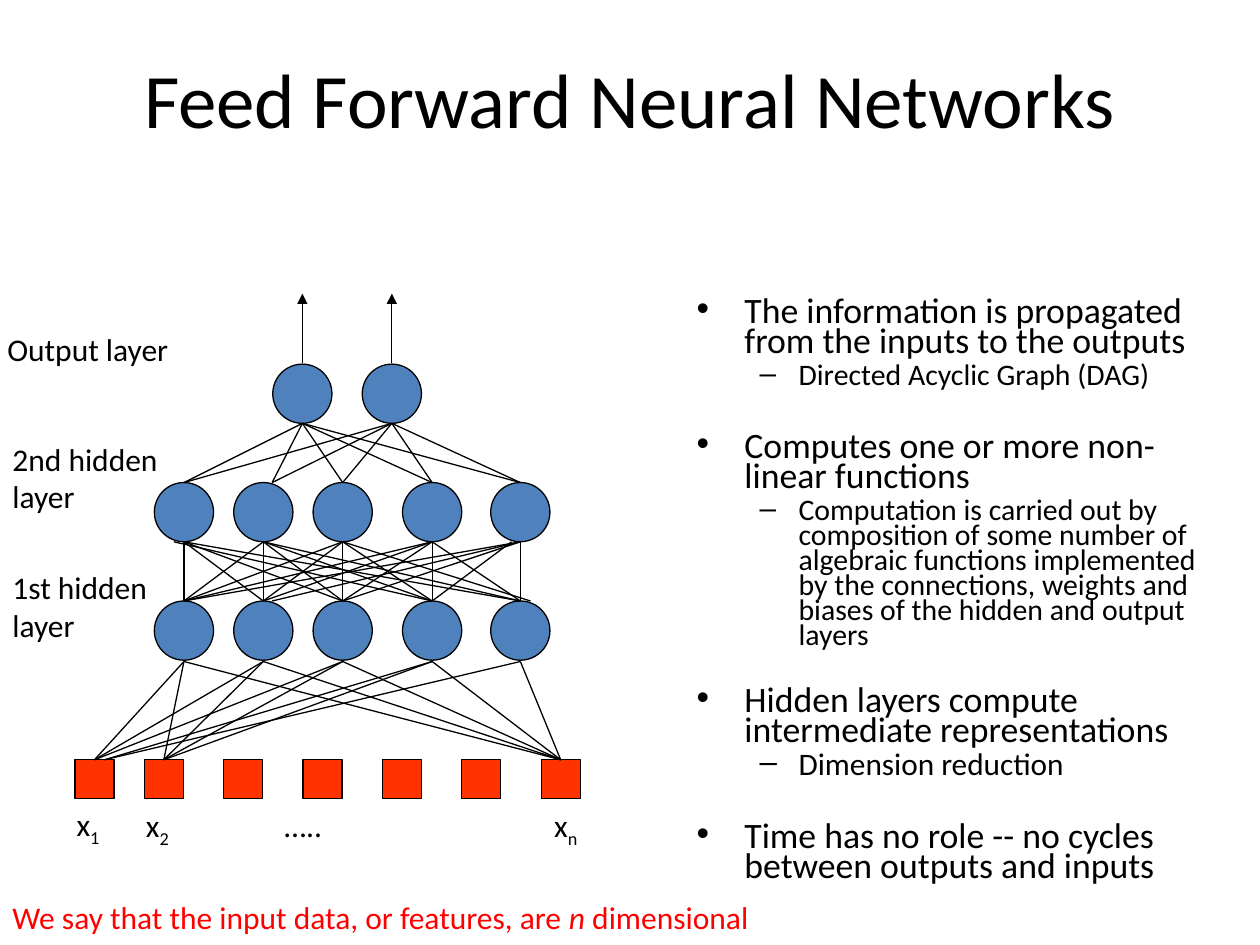
from dataclasses import dataclass, field
from itertools import product

from lxml.etree import SubElement
from pptx import Presentation
from pptx.dml.color import RGBColor
from pptx.enum.shapes import MSO_CONNECTOR, MSO_SHAPE
from pptx.enum.text import MSO_ANCHOR, MSO_AUTO_SIZE, PP_ALIGN
from pptx.oxml.ns import qn
from pptx.util import Inches, Pt

COLORS = {"ink": "000000", "neuron": "4F81BD", "input": "FF3300", "note": "FF0000"}
HIDDEN_X = [1.46, 2.09, 2.72, 3.43, 4.13]
OUTPUT_X = [2.4, 3.11]
INPUT_X = [0.75] + [1.3 + 0.63 * i for i in range(6)]
NEURON, SQUARE = 0.47, 0.31


@dataclass
class Layer:
    xs: list[float]
    top: float
    size: float
    shape: MSO_SHAPE
    color: str


@dataclass
class Links:
    pairs: list[tuple[float, float]]
    y1: float
    y2: float
    nudged: dict = field(default_factory=dict)


@dataclass
class Run:
    text: str
    fmt: dict = field(default_factory=dict)
    baseline: int = 0


@dataclass
class Label:
    box: tuple[float, float, float, float]
    lines: list[list[Run]]
    wrap: bool = True
    color: str = "ink"


@dataclass
class Bullet:
    text: str
    level: int = 0
    size: float = 20.4
    before: float = 4


LAYERS = [
    Layer(HIDDEN_X, 4.77, NEURON, MSO_SHAPE.OVAL, "neuron"),
    Layer(HIDDEN_X, 3.83, NEURON, MSO_SHAPE.OVAL, "neuron"),
    Layer(INPUT_X, 6.03, SQUARE, MSO_SHAPE.RECTANGLE, "input"),
    Layer(OUTPUT_X, 2.89, NEURON, MSO_SHAPE.OVAL, "neuron"),
]

INPUT_PAIRS = list(product([0.75, 4.45], HIDDEN_X)) + list(product([1.3], HIDDEN_X[:4]))
LINKS = [
    Links(list(product(HIDDEN_X, OUTPUT_X)), 3.83, 3.36,
          {(2.09, x): (2.16, x) for x in OUTPUT_X}),
    Links(INPUT_PAIRS, 6.03, 5.25,
          {(0.75, x): (0.83, x) for x in HIDDEN_X[3:]}),
    Links(list(product(HIDDEN_X, HIDDEN_X)), 4.77, 4.3,
          {(2.09, 4.13): (2.16, 4.13), (4.13, 2.72): (4.21, 2.72),
           (3.43, 1.46): (3.43, 1.38), (3.43, 4.13): (3.43, 4.06)}),
]

LABELS = [
    *[Label((x, y, 0.4, 0.4), [[Run("x"), Run(sub, baseline=-25000)]], False)
      for x, y, sub in [(0.51, 6.34, "1"), (1.06, 6.35, "2"), (4.3, 6.35, "n")]],
    Label((2.16, 6.35, 1.96, 0.4), [[Run("…..")]]),
    Label((0, 4.46, 1.69, 0.7), [[Run("1st hidden")], [Run("layer")]]),
    Label((0, 3.44, 1.69, 0.7), [[Run("2nd hidden")], [Run("layer")]]),
    Label((-0.04, 2.57, 1.69, 0.4), [[Run("Output layer")]]),
    Label((0, 7.08, 6.4, 0.4),
          [[Run("We say that the input data, or features, are "),
            Run("n ", {"italic": True}), Run("dimensional")]], False, "note"),
]

BULLETS = [
    Bullet("The information is propagated from the inputs to the outputs", before=0),
    Bullet("Directed Acyclic Graph (DAG)", 1, 17, 3.5),
    Bullet("Computes one or more non-linear functions", before=25),
    Bullet("Computation is carried out by composition of some number of algebraic "
           "functions implemented by the connections, weights and biases of the "
           "hidden and output layers", 1, 17, 3.5),
    Bullet("Hidden layers compute intermediate representations", before=21.5),
    Bullet("Dimension reduction", 1, 17.9, 3.5),
    Bullet("Time has no role -- no cycles between outputs and inputs", before=25),
]
BULLET_STYLES = [("•", 0.38, -0.38), ("–", 0.81, -0.31)]


def rgb(name: str) -> RGBColor:
    return RGBColor.from_string(COLORS[name])


def apply(target, values: dict) -> None:
    for name, value in values.items():
        setattr(target, name, value)


def add_run(p, run: Run, size: float, color: str = "ink") -> None:
    r = p.add_run()
    r.text = run.text
    apply(r.font, {"name": "Calibri", "size": Pt(size), **run.fmt})
    r.font.color.rgb = rgb(color)
    if run.baseline:
        r.font._element.set("baseline", str(run.baseline))


def add_box(s, box: tuple, values: dict):
    tf = s.shapes.add_textbox(*map(Inches, box)).text_frame
    apply(tf, {"word_wrap": True, **values})
    return tf


def next_paragraph(tf, index: int):
    return tf.add_paragraph() if index else tf.paragraphs[0]


def draw_layer(s, layer: Layer) -> None:
    for x in layer.xs:
        sp = s.shapes.add_shape(layer.shape, Inches(x - layer.size / 2), Inches(layer.top),
                                Inches(layer.size), Inches(layer.size))
        sp.shadow.inherit = False
        sp.fill.solid()
        sp.fill.fore_color.rgb = rgb(layer.color)
        sp.line.color.rgb = rgb("ink")
        sp.line.width = Pt(0.75)


def draw_line(s, x1: float, y1: float, x2: float, y2: float, arrow: bool = False) -> None:
    line = s.shapes.add_connector(MSO_CONNECTOR.STRAIGHT, *map(Inches, (x1, y1, x2, y2)))
    line.line.color.rgb = rgb("ink")
    line.line.width = Pt(0.75)
    if arrow:
        SubElement(line.line._get_or_add_ln(), qn("a:tailEnd"), type="triangle")
    SubElement(line._element.spPr, qn("a:effectLst"))


def draw_links(s, links: Links) -> None:
    for pair in links.pairs:
        x1, x2 = links.nudged.get(pair, pair)
        draw_line(s, x1, links.y1, x2, links.y2)


def draw_label(s, label: Label) -> None:
    tf = add_box(s, label.box, {"word_wrap": label.wrap,
                                "auto_size": MSO_AUTO_SIZE.SHAPE_TO_FIT_TEXT})
    for i, runs in enumerate(label.lines):
        p = next_paragraph(tf, i)
        for run in runs:
            add_run(p, run, 18, label.color)


def draw_title(s, text: str) -> None:
    tf = add_box(s, (0.5, 0.15, 9, 1.25), {"vertical_anchor": MSO_ANCHOR.MIDDLE})
    p = tf.paragraphs[0]
    p.alignment = PP_ALIGN.CENTER
    add_run(p, Run(text), 44)


def draw_bullets(s, bullets: list[Bullet]) -> None:
    tf = add_box(s, (5.43, 2.33, 4.42, 5.07), {})
    for i, bullet in enumerate(bullets):
        p = next_paragraph(tf, i)
        char, margin, indent = BULLET_STYLES[bullet.level]
        apply(p, {"level": bullet.level, "line_spacing": 0.7,
                  "space_before": Pt(bullet.before)})
        pPr = p._p.get_or_add_pPr()
        pPr.set("marL", str(Inches(margin)))
        pPr.set("indent", str(Inches(indent)))
        SubElement(pPr, qn("a:buFont"), typeface="Arial")
        SubElement(pPr, qn("a:buChar"), char=char)
        add_run(p, Run(bullet.text), bullet.size)


def main() -> None:
    prs = Presentation()
    apply(prs, {"slide_width": Inches(10), "slide_height": Inches(7.5)})
    s = prs.slides.add_slide(prs.slide_layouts[6])
    draw_title(s, "Feed Forward Neural Networks")
    draw_bullets(s, BULLETS)
    for layer in LAYERS:
        draw_layer(s, layer)
    for links in LINKS:
        draw_links(s, links)
    for x in OUTPUT_X:
        draw_line(s, x, 2.88, x, 2.33, arrow=True)
    for label in LABELS:
        draw_label(s, label)
    prs.save("out.pptx")


if __name__ == "__main__":
    main()
